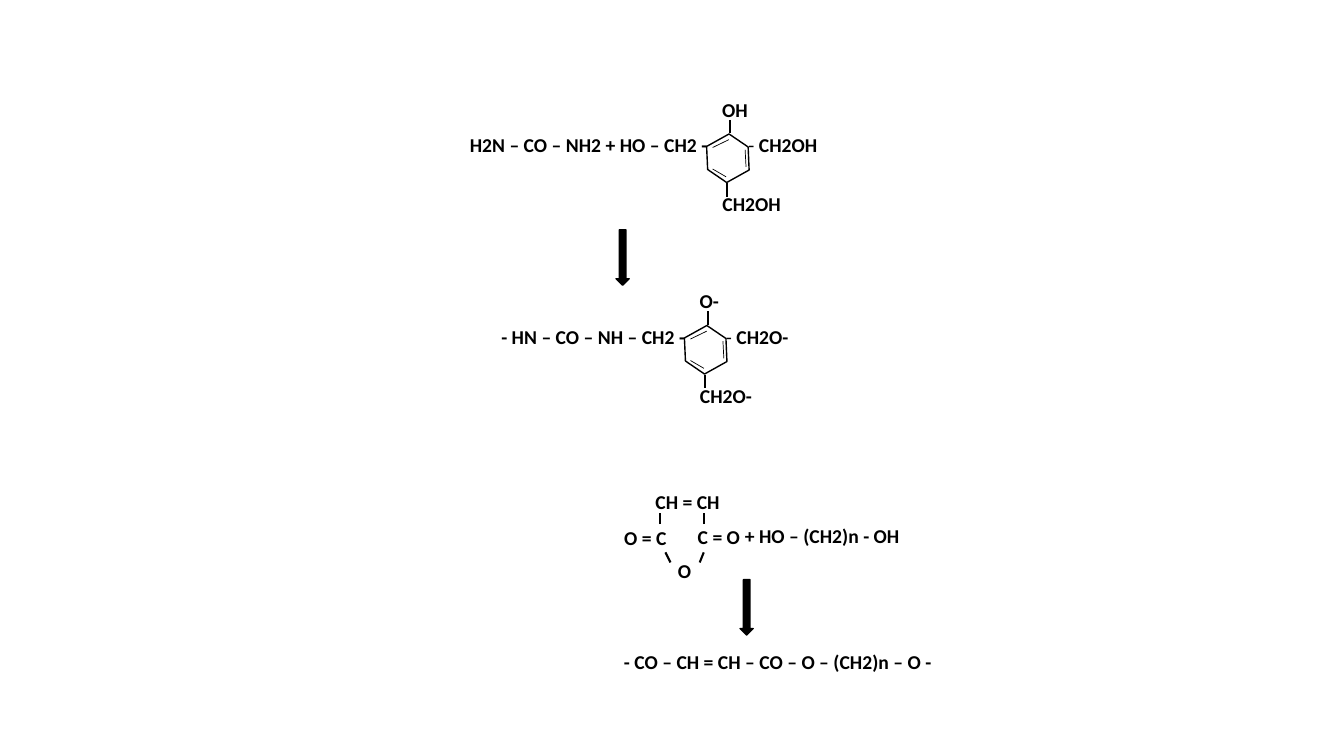
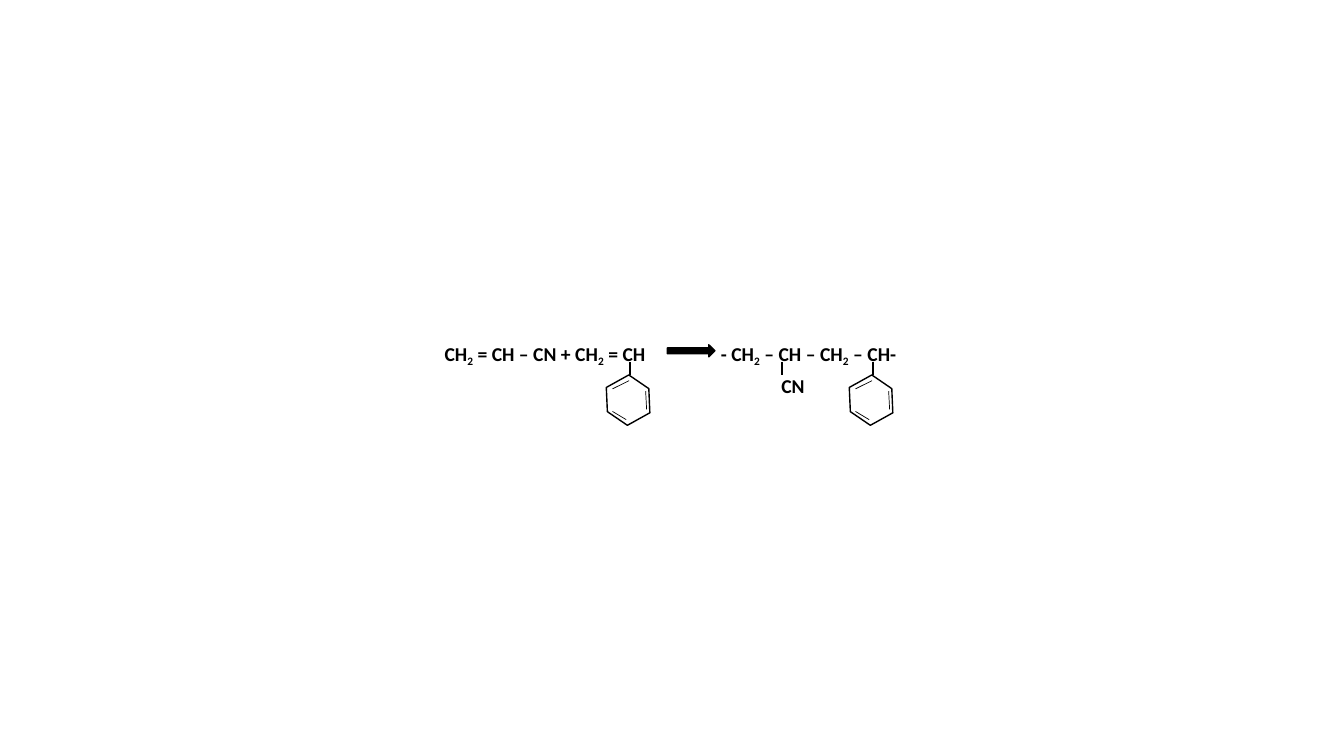
import dataclasses

import lxml.etree
import pptx
import pptx.dml.color
import pptx.enum.shapes
import pptx.enum.text
import pptx.oxml.ns
import pptx.util

Inches = pptx.util.Inches
Pt = pptx.util.Pt
Shape = pptx.enum.shapes.MSO_SHAPE


# Shared look
@dataclasses.dataclass(frozen=True)
class Theme:
    ink = pptx.dml.color.RGBColor(0, 0, 0)
    paper = pptx.dml.color.RGBColor(255, 255, 255)
    font: str = "Calibri"
    size: float = 14
    thin: float = 0.5
    edge: float = 1
    bond: float = 1.5
    stem: float = 0.13
    turn: float = 330.9
    row: float = 0.34


THEME = Theme()

# Inner strokes of a ring, as shares of its width and height
STROKES = (
    (0.02, -0.45, -0.33, -0.26),
    (-0.04, 0.45, -0.33, 0.26),
    (0.39, 0.21, 0.37, -0.21),
)


def label(slide, text, x, y, w, *, h=THEME.row, lead="", wrap=False,
          space=None, after=None):
    """Centred bold text; parts between underscores are subscripts."""
    box = slide.shapes.add_textbox(Inches(x), Inches(y), Inches(w), Inches(h))
    frame = box.text_frame
    frame.word_wrap = wrap
    para = frame.paragraphs[0]
    para.alignment = pptx.enum.text.PP_ALIGN.CENTER
    para.line_spacing = space
    if after is not None:
        para.space_after = Pt(after)

    parts = [(part, True, i % 2) for i, part in enumerate(text.split("_"))]
    if lead:
        parts.insert(0, (lead, False, False))
    for part, bold, sub in parts:
        run = para.add_run()
        run.text = part
        font = run.font
        font.name, font.size, font.bold = THEME.font, Pt(THEME.size), bold
        font.color.rgb = THEME.ink
        if sub:
            font._element.set("baseline", "-25000")


def stroke(slide, x1, y1, x2, y2, width=THEME.bond):
    line = slide.shapes.add_connector(
        pptx.enum.shapes.MSO_CONNECTOR.STRAIGHT,
        Inches(x1), Inches(y1), Inches(x2), Inches(y2))
    line.line.color.rgb = THEME.ink
    line.line.width = Pt(width)
    lxml.etree.SubElement(line._element.spPr,
                          pptx.oxml.ns.qn("a:effectLst"))


def solid(slide, kind, x, y, w, h, fill, turn=0):
    shape = slide.shapes.add_shape(
        kind, Inches(x), Inches(y), Inches(w), Inches(h))
    shape.rotation = turn
    shape.shadow.inherit = False
    shape.fill.solid()
    shape.fill.fore_color.rgb = fill
    shape.line.color.rgb = THEME.ink
    shape.line.width = Pt(THEME.edge)


def arrow(slide, x, y, w, h, turn=0):
    solid(slide, Shape.RIGHT_ARROW, x, y, w, h, THEME.ink, turn)


def ring(slide, x, y, w=0.46, h=0.41):
    """Benzene ring centred on x, y, with a bond at its top."""
    solid(slide, Shape.HEXAGON, x - w / 2, y - h / 2, w, h,
          THEME.paper, THEME.turn)
    for x1, y1, x2, y2 in STROKES:
        stroke(slide, x + x1 * w, y + y1 * h, x + x2 * w, y + y2 * h,
               THEME.thin)
    foot = y - 0.25
    stroke(slide, x + 0.02, foot - THEME.stem, x + 0.02, foot)


def phenol(slide, x, y, left, right, top, low):
    """Ring with four side groups, each a text and its box width."""
    text, w = left
    label(slide, text, x - 0.1 - w, y - 0.3, w)
    text, w = right
    label(slide, text, x + 0.1, y - 0.3, w, lead="- ")
    ring(slide, x, y)
    stroke(slide, x - 0.01, y + 0.25, x - 0.01, y + 0.25 + THEME.stem)
    for (text, w), gap in ((top, -0.65), (low, 0.29)):
        label(slide, text, x - 0.16, y + gap, w)


def resins(slide):
    # Urea with phenol alcohol
    phenol(slide, 7.22, 1.57, ("H2N – CO – NH2 + HO – CH2 -", 2.56),
           ("CH2OH", 0.89), ("OH", 0.46), ("CH2OH", 0.79))
    arrow(slide, 5.9, 2.49, 0.55, 0.13, 90)
    phenol(slide, 7, 3.47, ("- HN – CO – NH – CH2 -", 2.03),
           ("CH2O-", 0.82), ("O-", 0.39), ("CH2O-", 0.72))

    # Anhydride with glycol
    for text, x, y, w in (
        ("CH = CH", 6.4, 4.81, 0.84),
        ("C = O", 6.82, 5.16, 0.62),
        ("O = C", 6.09, 5.17, 0.62),
        ("O", 6.62, 5.5, 0.34),
        ("+ HO – (CH2)n - OH", 7.28, 5.15, 1.75),
        ("- CO – CH = CH – CO – O – (CH2)n – O -", 6.08, 6.4, 3.27),
    ):
        label(slide, text, x, y, w)
    for x in (6.55, 6.98):
        stroke(slide, x, 5.2, x, 5.09)
    stroke(slide, 6.94, 5.58, 6.98, 5.48)
    stroke(slide, 6.6, 5.48, 6.65, 5.58)
    arrow(slide, 7.13, 5.96, 0.55, 0.13, 90)


def styrene(slide):
    # Both sides of the reaction
    form = {"h": 0.47, "space": 1.07, "after": 8}
    label(slide, "CH_2_ = CH – CN + CH_2_ = CH", 4.31, 3.32, 2.19, **form)
    arrow(slide, 6.62, 3.42, 0.47, 0.12)
    label(slide, "- CH_2_ – CH – CH_2_ – CH-", 7.05, 3.32, 1.94, **form)

    # Side groups
    label(slide, "CN", 7.65, 3.64, 0.43, wrap=True, **form)
    stroke(slide, 7.76, 3.59, 7.76, 3.59 + THEME.stem)
    for x in (6.23, 8.64):
        ring(slide, x, 3.97, 0.47, 0.43)


def main():
    deck = pptx.Presentation()
    deck.slide_width, deck.slide_height = Inches(13.33), Inches(7.5)
    for draw in (resins, styrene):
        draw(deck.slides.add_slide(deck.slide_layouts[6]))
    deck.save("out.pptx")


if __name__ == "__main__":
    main()
